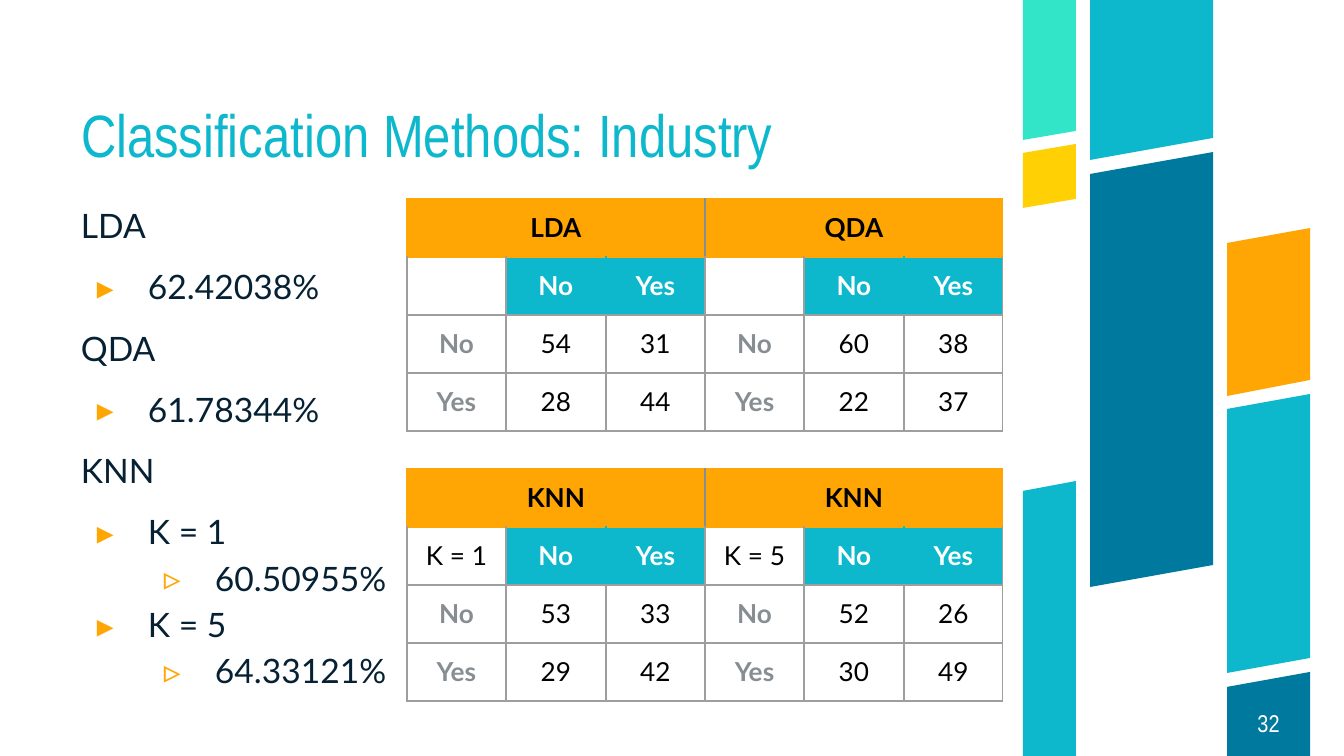
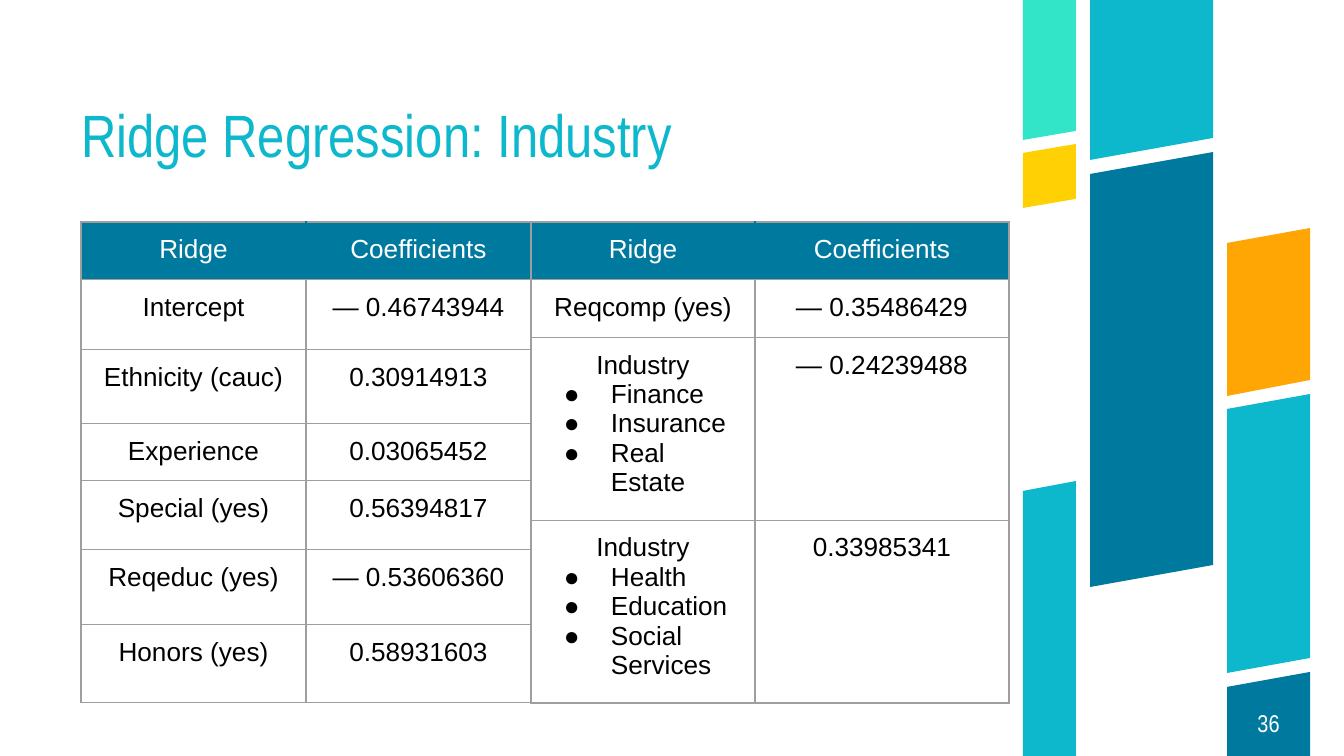
from lxml.etree import SubElement as Sub
from pptx import Presentation as Deck
from pptx.dml.color import RGBColor as Rgb
from pptx.enum.text import MSO_ANCHOR as Anchor, PP_ALIGN as Align
from pptx.oxml.ns import qn
from pptx.util import Emu, Pt

SCALE = 914400 / 134.4  # EMU in one px
WIDE, HIGH = 1344, 756
HUES = {
    "teal": "0DB8CC", "deep": "00799E", "mint": "32E4C8", "sun": "FFD104",
    "gold": "FFA604", "ink": "062133", "black": "000000", "white": "FFFFFF",
    "gray": "878E92", "line": "9E9E9E",
}
FACES = {
    "title": dict(name="Arial Narrow", size=Pt(32), hue="teal"),
    "page": dict(name="Arial Narrow", size=Pt(13), hue="white"),
    "body": dict(name="Lato", size=Pt(18), hue="ink"),
    "grid": dict(name="Lato", size=Pt(14), hue="black", bold=False),
    "coef": dict(name="Arial", size=Pt(14), hue="black", bold=False),
}
# left, right, then bands: hue, top left, top right, low right, low left
BANDS = [
    (1023, 1076, [("teal", 491, 481, 756, 756), ("sun", 153, 144, 199, 208),
                  ("mint", 0, 0, 131, 140)]),
    (1090, 1213, [("deep", 174, 152, 565, 587), ("teal", 0, 0, 138, 160)]),
    (1227, 1310, [("gold", 243, 228, 380, 396), ("deep", 687, 672, 756, 756),
                  ("teal", 409, 394, 658, 673)]),
]


def px(num):
    return Emu(round(num * SCALE))


def tint(hue):
    return Rgb.from_string(HUES[hue])


def put(item, **vals):
    for key, val in vals.items():
        setattr(item, key, val)


class Page:
    def __init__(self, deck, title, num):
        self.slide = deck.slides.add_slide(deck.slide_layouts[6])
        self.shapes = self.slide.shapes
        for left, right, parts in BANDS:
            for hue, *tops in parts:
                self.band(hue, left, right, *tops)
        self.text([dict(text=title, line_spacing=0.9)], "title",
                  81, 112, 898, 58, Anchor.BOTTOM)
        self.text([dict(text=num, alignment=Align.CENTER)], "page",
                  1227, 689, 83, 67, Anchor.MIDDLE)

    def band(self, hue, left, right, a, b, c, d):
        pen = self.shapes.build_freeform(left, a, scale=SCALE)
        pen.add_line_segments([(right, b), (right, c), (left, d)])
        form = pen.convert_to_shape()
        form.shadow.inherit = False
        form.fill.solid()
        form.fill.fore_color.rgb = tint(hue)
        form.line.fill.background()

    def label(self, para, text, face, **more):
        style = {**FACES[face], **more}
        hue = style.pop("hue")
        run = para.add_run()
        run.text = text
        put(run.font, **style)
        run.font.color.rgb = tint(hue)

    def bullet(self, para, mark, hue, face, left, hang):
        prop = para._p.get_or_add_pPr()
        prop.set("marL", str(px(left)))
        prop.set("indent", str(-px(hang)))
        Sub(Sub(prop, qn("a:buClr")), qn("a:srgbClr"), val=HUES[hue])
        Sub(prop, qn("a:buFont"), typeface=FACES[face]["name"])
        Sub(prop, qn("a:buChar"), char=mark)

    def text(self, rows, face, x, y, w, h, anchor=Anchor.TOP):
        frame = self.shapes.add_textbox(px(x), px(y), px(w), px(h)).text_frame
        put(frame, word_wrap=True, vertical_anchor=anchor, margin_left=0,
            margin_right=0, margin_top=0, margin_bottom=0)
        for i, row in enumerate(rows):
            vals = dict(row)
            text, mark = vals.pop("text"), vals.pop("mark", None)
            para = frame.add_paragraph() if i else frame.paragraphs[0]
            put(para, **vals)
            if mark:
                left = 134 if mark == "▹" else 67
                self.bullet(para, mark, "gold", face, left, 51)
            self.label(para, text, face)

    def table(self, x, y, cols, rows):
        grid = self.shapes.add_table(len(rows), len(cols), px(x), px(y),
                                     px(sum(cols)), px(sum(rows))).table
        put(grid, first_row=False, horz_banding=False)
        for col, w in zip(grid.columns, cols):
            col.width = px(w)
        for row, h in zip(grid.rows, rows):
            row.height = px(h)
        return grid

    def cell(self, cell, lines, face, fill=None, edges=None, **more):
        put(cell, margin_left=px(13), margin_right=px(13),
            margin_top=px(13), margin_bottom=px(13))
        if fill:
            cell.fill.solid()
            cell.fill.fore_color.rgb = tint(fill)
        else:
            cell.fill.background()
        # Borders go before the fill
        prop = cell._tc.get_or_add_tcPr()
        for i, side in enumerate("LRTB"):
            line = Sub(prop, qn("a:ln" + side), w=str(Pt(0.75)))
            hue = (edges or {}).get(side, "line")
            Sub(Sub(line, qn("a:solidFill")), qn("a:srgbClr"), val=HUES[hue])
            prop.insert(i, line)
        # First line is centred, the rest are bullets
        frame = cell.text_frame
        for i, text in enumerate(lines):
            para = frame.add_paragraph() if i else frame.paragraphs[0]
            if i:
                self.bullet(para, "●", "black", face, 67, 47)
            else:
                para.alignment = Align.CENTER
            if text:
                self.label(para, text, face, **more)
            else:
                size = FACES[face]["size"].pt
                Sub(para._p, qn("a:endParaRPr"), sz=str(int(size * 100)))

    def matrix(self, x, y, name, key, vals, seam):
        """Two-by-two counts; seam is the side that meets its neighbour."""
        grid = self.table(x, y, [99, 100, 99], [58] * 4)
        outer = {"L": 0, "R": 2}[seam]
        rows = [["", name, ""], [key, "No", "Yes"],
                ["No", *vals[:2]], ["Yes", *vals[2:]]]
        for r, row in enumerate(rows):
            for c, val in enumerate(row):
                look = {}
                if r == 0:
                    edges = dict.fromkeys("LRTB", "gold")
                    if c == outer:
                        edges[seam] = "gray"
                    look = dict(fill="gold", edges=edges, bold=True)
                elif r == 1:
                    look = dict(edges={"T": "gold"})
                    if c:
                        look.update(fill="teal", hue="white", bold=True)
                        look["edges"]["R" if c == 1 else "L"] = "teal"
                elif c == 0:
                    look = dict(hue="gray", bold=True)
                self.cell(grid.cell(r, c), [str(val)], "grid", **look)

    def coefs(self, x, cols, highs, rows):
        grid = self.table(x, 222, cols, highs)
        for c, (name, side) in enumerate([("Ridge", "R"), ("Coefficients", "L")]):
            self.cell(grid.cell(0, c), [name], "coef", "deep",
                      {side: "deep"}, hue="white")
        for r, (name, val) in enumerate(rows, 1):
            self.cell(grid.cell(r, 0), name.split("\n"), "coef")
            self.cell(grid.cell(r, 1), [val], "coef")


def main():
    deck = Deck()
    put(deck, slide_width=px(WIDE), slide_height=px(HIGH))

    # Classification rates and confusion tables
    page = Page(deck, "Classification Methods: Industry", "32")
    rates = [
        ("LDA", None, 0), ("62.42038%", "▸", 8), ("QDA", None, 8),
        ("61.78344%", "▸", 8), ("KNN", None, 8), ("K = 1", "▸", 8),
        ("60.50955%", "▹", 0), ("K = 5", "▸", 0), ("64.33121%", "▹", 0),
    ]
    page.text([dict(text=text, mark=mark, space_before=Pt(gap), line_spacing=1.15)
               for text, mark, gap in rates], "body", 81, 199, 327, 503)
    counts = [
        ("LDA", "", (54, 31, 28, 44)), ("QDA", "", (60, 38, 22, 37)),
        ("KNN", "K = 1", (53, 33, 29, 42)), ("KNN", "K = 5", (52, 26, 30, 49)),
    ]
    for i, (name, key, vals) in enumerate(counts):
        row, col = divmod(i, 2)
        page.matrix(407 + 298 * col, 199 + 270 * row, name, key, vals, "RL"[col])

    # Ridge coefficients
    page = Page(deck, "Ridge Regression: Industry", "36")
    page.coefs(81, [225, 225], [56, 70, 74, 56, 69, 75, 78], [
        ("Intercept", "— 0.46743944"),
        ("Ethnicity (cauc)", "0.30914913"),
        ("Experience", "0.03065452"),
        ("Special (yes)", "0.56394817"),
        ("Reqeduc (yes)", "— 0.53606360"),
        ("Honors (yes)", "0.58931603"),
    ])
    page.coefs(531, [224, 254], [56, 58, 174, 174], [
        ("Reqcomp (yes)", "— 0.35486429"),
        ("Industry\nFinance\nInsurance\nReal Estate", "— 0.24239488"),
        ("Industry\nHealth\nEducation\nSocial Services", "0.33985341"),
    ])
    deck.save("out.pptx")


if __name__ == "__main__":
    main()
